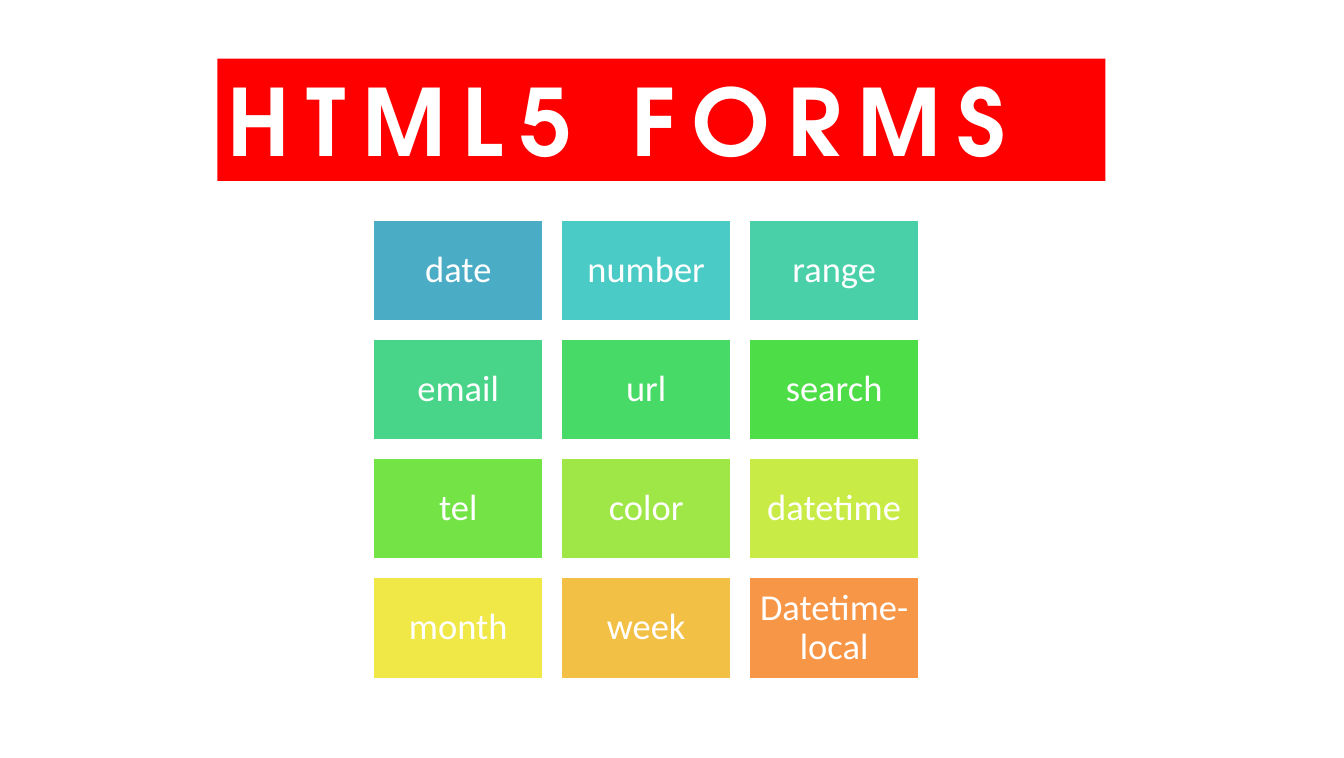
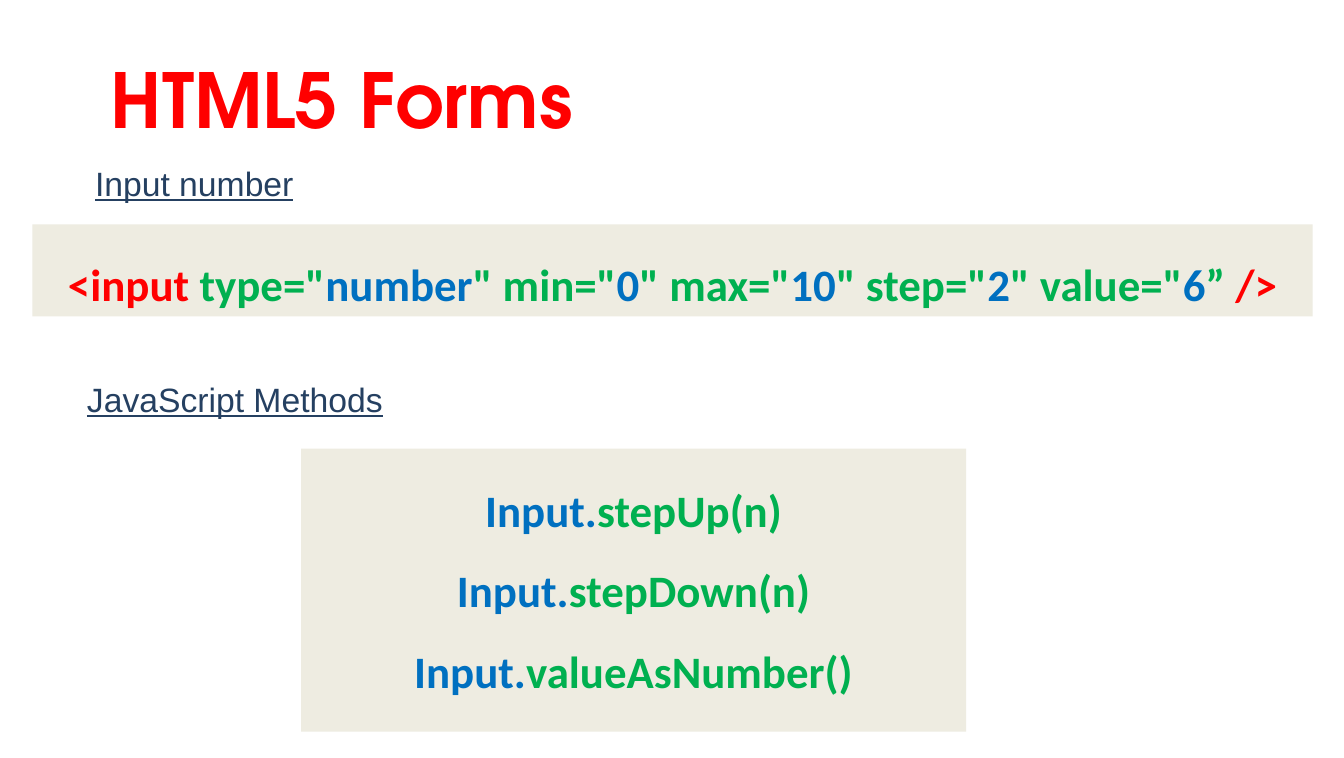
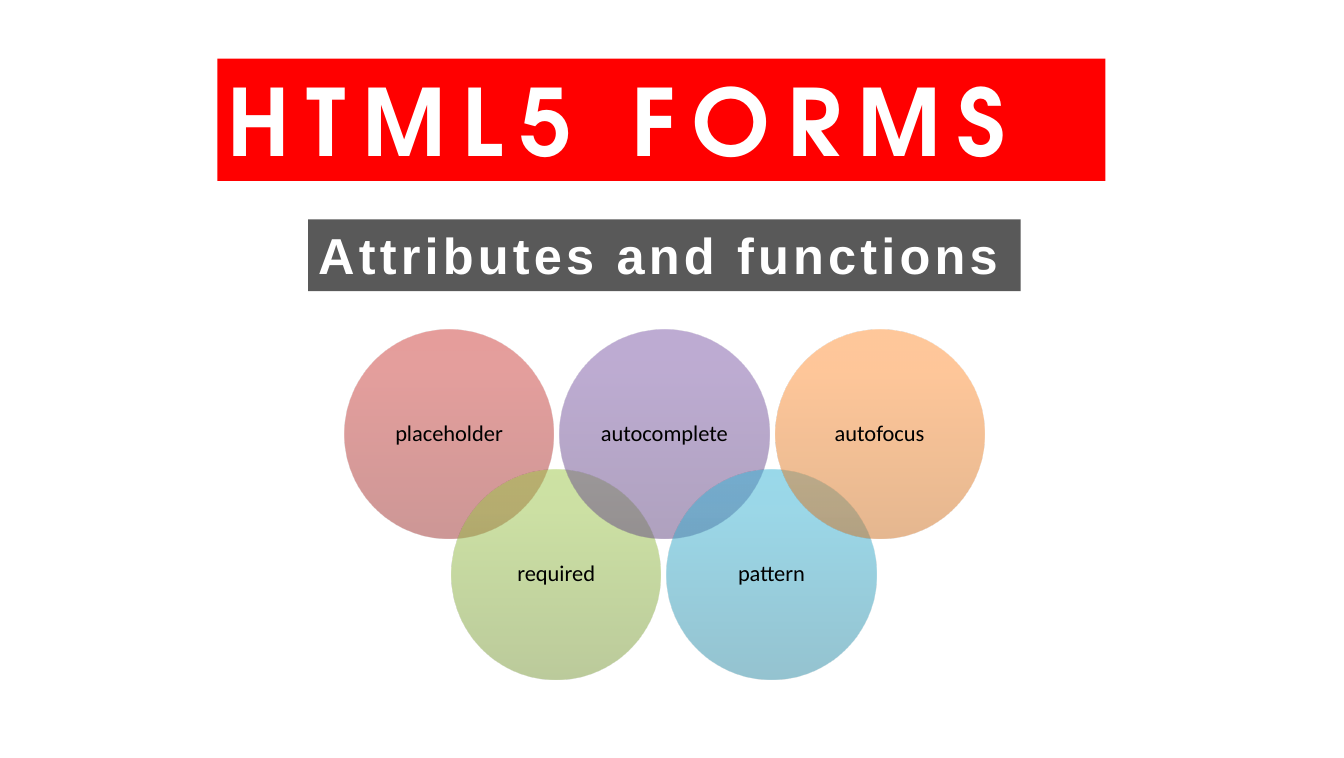
from lxml.etree import SubElement
from pptx import Presentation
from pptx.dml.color import RGBColor
from pptx.enum.shapes import MSO_SHAPE as Preset
from pptx.enum.text import MSO_ANCHOR as Anchor, PP_ALIGN as Align
from pptx.oxml.ns import qn
from pptx.util import Pt

# Shared style: 100 px to the inch
EMU_PER_PX = 9144
HEADING_FONT, LABEL_FONT, CODE_FONT = "TeX Gyre Adventor", "Arial", "Calibri"
WHITE, BLACK, RED, GREEN, BLUE = "FFFFFF", "000000", "FF0000", "00B050", "0070C0"
NAVY, BEIGE, GRAY = "254061", "EEECE1", "595959"
TITLE_BOX = (215, 58, 879, 121)

# Slide contents
INPUT_TYPES = [
    ("date", "4BACC6"), ("number", "4ACBC6"), ("range", "49D0A9"),
    ("email", "48D589"), ("url", "47DA66"), ("search", "4DDE47"),
    ("tel", "74E346"), ("color", "9EE746"), ("datetime", "C9EB46"),
    ("month", "EFE846"), ("week", "F3C046"), ("Datetime-local", "F79646"),
]
INPUT_TAG = [
    ("<input ", RED), ('type="', GREEN), ("number", BLUE), ('" min="', GREEN),
    ("0", BLUE), ('" max="', GREEN), ("10", BLUE), ('" step="', GREEN),
    ("2", BLUE), ('" value="', GREEN), ("6", BLUE), ("” ", GREEN), ("/>", RED),
]
METHODS = ["stepUp(n)", "stepDown(n)", "valueAsNumber()"]
ATTRIBUTES = [
    ("placeholder", ("9C2F2D", "CB3E3A", "CE3B37")),
    ("required", ("779737", "9BC348", "9DC746")),
    ("autocomplete", ("5F4480", "7B58A6", "7C57A8")),
    ("pattern", ("2A88A2", "37B1D2", "34B4D6")),
    ("autofocus", ("CC6E20", "FF9034", "FF9136")),
]


def px(*lengths):
    return [length * EMU_PER_PX for length in lengths]


def rgb(color):
    return RGBColor.from_string(color)


def put_text(shape, text, size, color=WHITE, font=CODE_FONT, bold=False,
             underline=False, tracking=0, align=Align.LEFT, anchor=Anchor.MIDDLE,
             line_spacing=1.0, space_before=0, insets=(10, 5, 10, 5)):
    """Text is a string, or a list of paragraphs made of (text, color) runs."""
    frame = shape.text_frame
    frame.word_wrap = True
    frame.vertical_anchor = anchor
    (frame.margin_left, frame.margin_top,
     frame.margin_right, frame.margin_bottom) = px(*insets)
    paragraphs = [[(text, color)]] if isinstance(text, str) else text
    for index, runs in enumerate(paragraphs):
        paragraph = frame.add_paragraph() if index else frame.paragraphs[0]
        paragraph.alignment = align
        paragraph.line_spacing = line_spacing
        paragraph.space_before = Pt(space_before)
        for words, run_color in runs:
            run = paragraph.add_run()
            run.text = words
            run.font.name, run.font.size = font, Pt(size)
            run.font.bold, run.font.underline = bold, underline
            run.font.color.rgb = rgb(run_color)
            if tracking:
                run.font._element.set("spc", str(tracking * 100))


def add_block(slide, box, fill=None, preset=Preset.RECTANGLE, border=None):
    shape = slide.shapes.add_shape(preset, *px(*box))
    shape.shadow.inherit = False
    if fill:
        shape.fill.solid()
        shape.fill.fore_color.rgb = rgb(fill)
    if border:
        shape.line.color.rgb = rgb(border)
        shape.line.width = Pt(2)
    else:
        shape.line.fill.background()
    return shape


def fill_gradient(shape, colors):
    """Half-transparent gradient that runs from bottom to top."""
    shape.fill.gradient()
    gradient = shape._element.spPr.find(qn("a:gradFill"))
    for child in list(gradient):
        gradient.remove(child)
    stops = SubElement(gradient, qn("a:gsLst"))
    for position, color in zip((0, 80, 100), colors):
        stop = SubElement(stops, qn("a:gs"), pos=str(position * 1000))
        value = SubElement(stop, qn("a:srgbClr"), val=color)
        SubElement(value, qn("a:alpha"), val="50000")
    SubElement(gradient, qn("a:lin"), ang="16200000", scaled="0")


def add_banner(slide, box, text, fill, **text_format):
    put_text(add_block(slide, box, fill), text, bold=True, anchor=Anchor.TOP, **text_format)


def add_title_banner(slide):
    add_banner(slide, TITLE_BOX, "HTML5 FORMS", RED, size=66, font=HEADING_FONT, tracking=12)


def add_label(slide, box, text):
    put_text(slide.shapes.add_textbox(*px(*box)), text, 24, NAVY, LABEL_FONT,
             underline=True, anchor=Anchor.TOP, line_spacing=1.5, space_before=5,
             insets=(54, 5, 10, 5))


def add_code(slide, box, lines, insets=(10, 5, 10, 5)):
    put_text(add_block(slide, box, BEIGE), lines, 32, bold=True, align=Align.CENTER,
             line_spacing=1.5, insets=insets)


def add_tiles(slide, box, columns=3, gap=17):
    left, top, width, height = box
    rows = len(INPUT_TYPES) // columns
    tile_width = (width - gap * (columns - 1)) // columns
    tile_height = (height - gap * (rows - 1)) // rows
    for index, (name, color) in enumerate(INPUT_TYPES):
        row, column = divmod(index, columns)
        tile_box = (left + column * (tile_width + gap), top + row * (tile_height + gap),
                    tile_width, tile_height)
        put_text(add_block(slide, tile_box, color, border=WHITE), name, 26,
                 align=Align.CENTER, line_spacing=0.9, insets=(11,) * 4)


def add_circles(slide, box, diameter=207):
    left, top, width, height = box
    for index, (name, colors) in enumerate(ATTRIBUTES):
        x = left + index * (width - diameter) // (len(ATTRIBUTES) - 1)
        y = top + index % 2 * (height - diameter)
        circle = add_block(slide, (x, y, diameter, diameter), preset=Preset.OVAL)
        fill_gradient(circle, colors)
        put_text(circle, name, 16, BLACK, align=Align.CENTER, line_spacing=0.9,
                 insets=(7,) * 4)


def build_types_slide(slide):
    add_title_banner(slide)
    add_tiles(slide, (369, 217, 541, 455))


def build_number_slide(slide):
    put_text(slide.shapes.add_textbox(*px(100, 17, 1182, 161)), "HTML5 Forms", 54, RED,
             HEADING_FONT, bold=True)
    add_label(slide, (40, 136, 942, 83), "Input number")
    add_code(slide, (32, 222, 1267, 91), [INPUT_TAG])
    add_label(slide, (32, 350, 942, 83), "JavaScript Methods")
    add_code(slide, (298, 444, 658, 280),
             [[("Input.", BLUE), (method, GREEN)] for method in METHODS],
             insets=(10, 5, 10, 32))


def build_attributes_slide(slide):
    add_title_banner(slide)
    add_circles(slide, (341, 326, 633, 346))
    add_banner(slide, (305, 217, 705, 71), "Attributes and functions", GRAY, size=36,
               font=LABEL_FONT, tracking=3)


def main():
    presentation = Presentation()
    presentation.slide_width, presentation.slide_height = px(1330, 750)
    for build in (build_types_slide, build_number_slide, build_attributes_slide):
        build(presentation.slides.add_slide(presentation.slide_layouts[6]))
    presentation.save("out.pptx")


if __name__ == "__main__":
    main()
